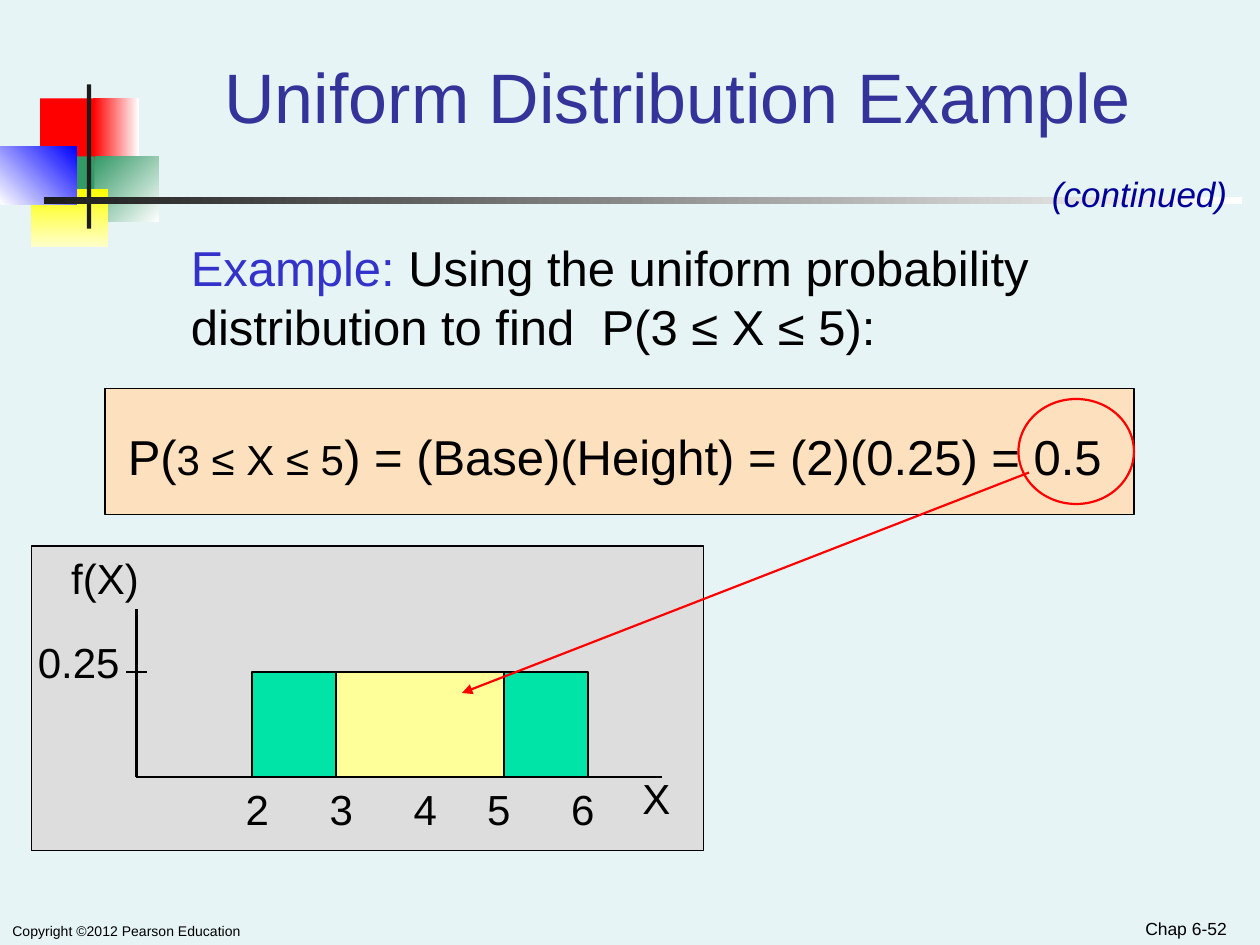
from lxml.etree import SubElement
from pptx import Presentation
from pptx.dml.color import RGBColor
from pptx.enum.shapes import MSO_CONNECTOR, MSO_SHAPE
from pptx.enum.text import MSO_ANCHOR as ANCHOR, PP_ALIGN as ALIGN
from pptx.oxml.ns import qn
from pptx.util import Pt

COLORS = {
    "background": "E7F4F5", "black": "000000", "white": "FFFFFF",
    "red": "FF0000", "green": "339966", "yellow": "FFFF00",
    "cream": "FFFFCC", "blue": "0000FF", "charcoal": "1C1C1C",
    "title": "333399", "example": "3333CC", "continued": "000099",
    "gray": "DDDDDD", "peach": "FDE0BD", "mint": "00E4A8", "lemon": "FFFF99",
}

# Boxes are (left, top, width, height); a gradient is (start, end, clockwise angle)
ORNAMENT = [
    ((23, 56.3, 34.5, 37.3), "red"),
    ((53.3, 56.3, 26, 37.3), ("red", "white", 0)),
    ((54, 89.3, 36.7, 37.4), ("green", "white", 45)),
    ((31, 89.3, 23, 37.4), "green"),
    ((18, 108, 44, 33.2), ("yellow", "cream", 90)),
    ((0, 83.5, 44, 33.2), ("white", "blue", 315)),
    ((49.7, 48.2, 2.5, 82.5), "charcoal"),
    ((25.2, 112.5, 684.5, 4.2), ("charcoal", "white", 0)),
]

# Box, runs of (text, size, colour), alignment, anchor
TEXTS = [
    ((0, 522, 462, 18), [("Copyright ©2012 Pearson Education", 8, "black")],
     ALIGN.LEFT, ANCHOR.BOTTOM),
    ((540, 515, 168, 25), [("Chap 6-52", 10, "black")], ALIGN.RIGHT, ANCHOR.BOTTOM),
    ((112, 30, 550, 52), [("Uniform Distribution Example", 40, "title")],
     ALIGN.CENTER, ANCHOR.BOTTOM),
    ((102, 132, 546, 74),
     [("Example:", 28, "example"),
      (" Using the uniform probability distribution to find  P(3 ≤ X ≤ 5):", 28, "black")],
     ALIGN.LEFT, ANCHOR.TOP),
    ((66, 240, 606, 41),
     [("P(", 28, "black"), ("3 ≤ X ≤ 5", 24, "black"),
      (") = (Base)(Height) = (2)(0.25) = 0.5", 28, "black")],
     ALIGN.LEFT, ANCHOR.TOP),
]
CONTINUED = ((594, 95, 126, 31), [("(continued)", 20, "continued")])

# Density plot
ORIGIN_X, BASELINE, TOP = 78, 444, 384
UNIT = 48
TICK_LABELS = {"2": 132, "3": 180, "4": 228, "5": 270, "6": 318}
AXIS_LABELS = [("0.25", (12, 360, 66, 36)), ("X", (360, 438, 30, 36)),
               ("f(X)", (30, 312, 60, 36))]
AREAS = [(2, 6, "mint"), (3, 5, "lemon")]
AXES = [((ORIGIN_X, 348), (ORIGIN_X, BASELINE)),
        ((ORIGIN_X, BASELINE), (378, BASELINE)),
        ((72, TOP), (84, TOP))]


def rgb(name):
    return RGBColor.from_string(COLORS[name])


def add_box(shapes, box, fill=None, line=None, width=0.75, kind=MSO_SHAPE.RECTANGLE):
    s = shapes.add_shape(kind, *map(Pt, box))
    s.shadow.inherit = False
    if fill is None:
        s.fill.background()
    elif isinstance(fill, tuple):
        *ends, angle = fill
        s.fill.gradient()
        s.fill.gradient_angle = -angle % 360
        for stop, name in zip(s.fill.gradient_stops, ends):
            stop.color.rgb = rgb(name)
    else:
        s.fill.solid()
        s.fill.fore_color.rgb = rgb(fill)
    if line:
        s.line.color.rgb = rgb(line)
        s.line.width = Pt(width)
    else:
        s.line.fill.background()


def add_text(shapes, box, runs, align=ALIGN.LEFT, anchor=ANCHOR.TOP, italic=False):
    tf = shapes.add_textbox(*map(Pt, box)).text_frame
    tf.word_wrap = True
    tf.vertical_anchor = anchor
    p = tf.paragraphs[0]
    p.alignment = align
    for text, size, color in runs:
        r = p.add_run()
        r.text = text
        style = {"name": "Arial", "size": Pt(size), "italic": italic}
        for key, value in style.items():
            setattr(r.font, key, value)
        r.font.color.rgb = rgb(color)


def add_line(shapes, start, end, color="black", width=1.5, arrow=False):
    c = shapes.add_connector(MSO_CONNECTOR.STRAIGHT, *map(Pt, start + end))
    c.line.color.rgb = rgb(color)
    c.line.width = Pt(width)
    if arrow:
        SubElement(c.line._get_or_add_ln(), qn("a:tailEnd"), type="triangle")
    SubElement(c._element.spPr, qn("a:effectLst"))


def add_density_plot(shapes):
    for start, end in AXES:
        add_line(shapes, start, end)
    for low, high, fill in AREAS:
        box = (144 + UNIT * (low - 2), TOP, UNIT * (high - low), BASELINE - TOP)
        add_box(shapes, box, fill, "black", 1.5)
    ticks = [(text, (left, BASELINE, 30, 36)) for text, left in TICK_LABELS.items()]
    for text, box in ticks + AXIS_LABELS:
        add_text(shapes, box, [(text, 24, "black")], ALIGN.CENTER)


def main():
    prs = Presentation()
    prs.slide_width, prs.slide_height = Pt(720), Pt(540)
    slide = prs.slides.add_slide(prs.slide_layouts[6])
    slide.background.fill.solid()
    slide.background.fill.fore_color.rgb = rgb("background")
    shapes = slide.shapes

    for box, fill in ORNAMENT:
        add_box(shapes, box, fill)
    add_box(shapes, (18, 312, 384, 174), "gray", "black")
    add_box(shapes, (60, 222, 588, 72), "peach", "black")
    for text in TEXTS:
        add_text(shapes, *text)
    add_text(shapes, *CONTINUED, italic=True)
    add_density_plot(shapes)
    add_box(shapes, (582, 228, 66, 60), None, "red", 1.25, MSO_SHAPE.OVAL)
    add_line(shapes, (588, 270), (264, 396), "red", 1.25, arrow=True)
    prs.save("out.pptx")


if __name__ == "__main__":
    main()
